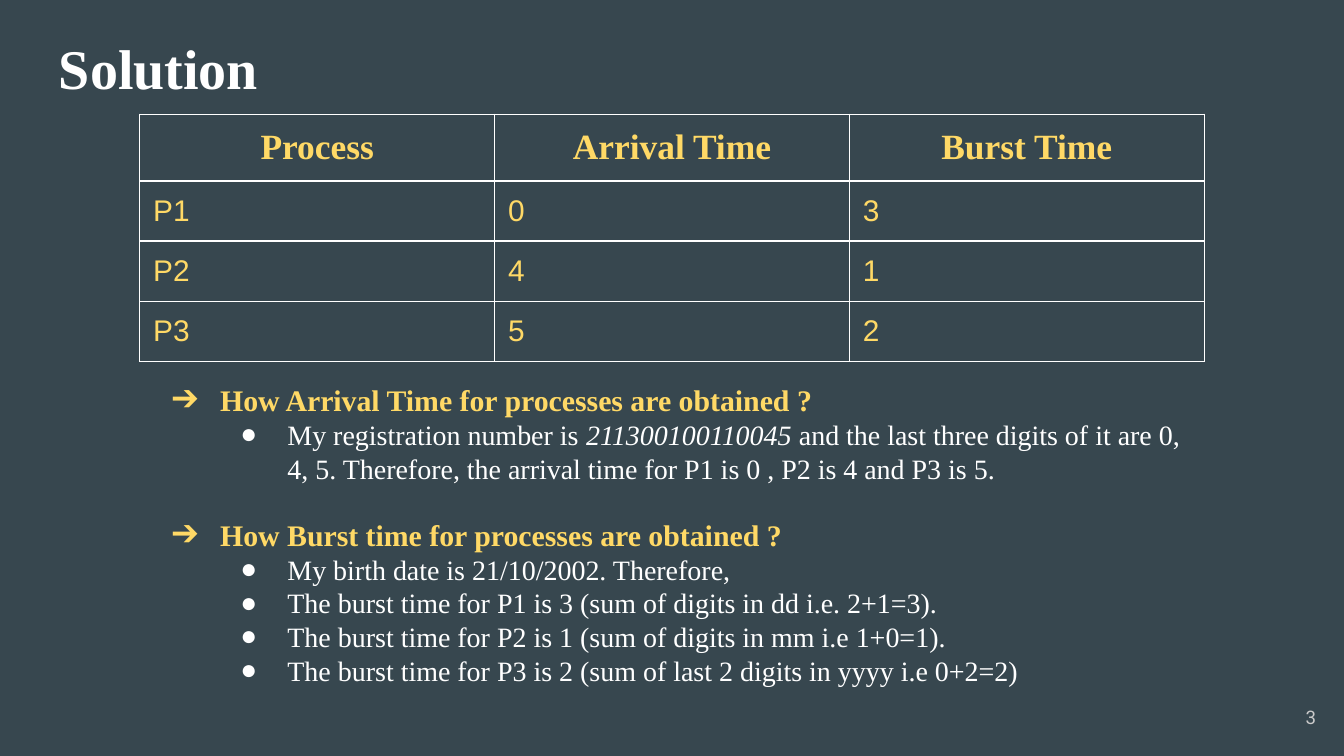
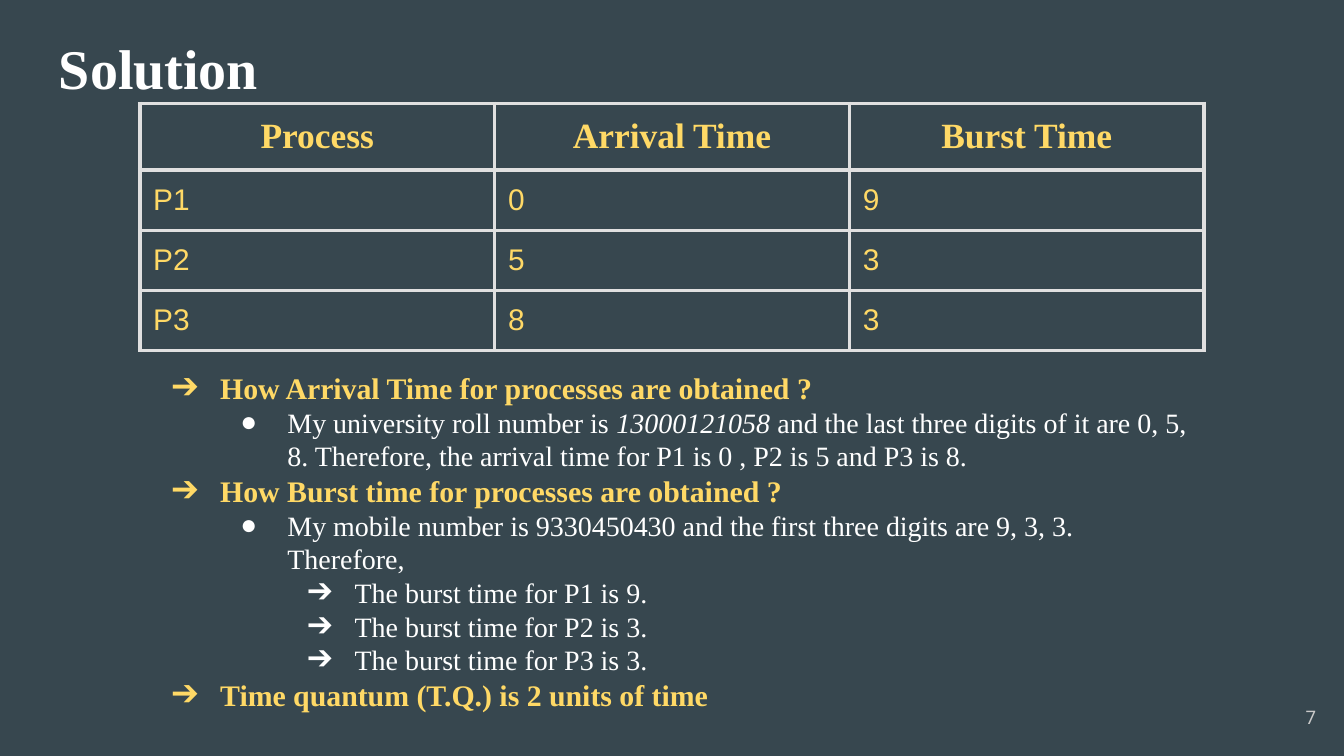
from lxml.etree import SubElement
from pptx import Presentation
from pptx.dml.color import RGBColor
from pptx.enum.text import MSO_ANCHOR, PP_ALIGN
from pptx.oxml.ns import qn
from pptx.util import Inches, Pt

BACKGROUND, WHITE, GOLD, GREY = "37474F", "FFFFFF", "FFD966", "CACACA"
SERIF = "Times New Roman"
TITLE = {"name": SERIF, "size": Pt(30), "bold": True, "color": WHITE}
HEADER = {"name": SERIF, "size": Pt(19), "bold": True, "color": GOLD}
VALUE = {"name": "Arial", "size": Pt(16), "bold": False, "color": GOLD}
QUESTION = {"name": SERIF, "size": Pt(16), "bold": True, "color": GOLD}
ANSWER = {"name": SERIF, "size": Pt(15), "bold": False, "color": WHITE}
NUMBER = {"name": "Roboto", "size": Pt(10), "color": GREY}

LEVELS = {
    "question": (0.5, -0.36, "➔", QUESTION),
    "answer": (1, -0.35, "●", ANSWER),
    "detail": (1.5, -0.35, "➔", ANSWER),
}
COLUMNS = ("Process", "Arrival Time", "Burst Time")
ARRIVAL = ("question", "How Arrival Time for processes are obtained ?")
BURST = ("question", "How Burst time for processes are obtained ?")

SLIDES = [
    {
        "number": 3, "table_top": 0.85, "border": (WHITE, 0.75),
        "rows": [("P1", 0, 3), ("P2", 4, 1), ("P3", 5, 2)],
        "notes_box": (1.04, 2.74, 7.92, 2.42), "gap": Pt(17),
        "lines": [
            ARRIVAL,
            ("answer", "My registration number is ", "211300100110045 ",
             "and the last three digits of it are 0, 4, 5. Therefore, "
             "the arrival time for P1 is 0 , P2 is 4 and P3 is 5."),
            BURST,
            ("answer", "My birth date is 21/10/2002. Therefore,"),
            ("answer", "The burst time for P1 is 3 (sum of digits in dd i.e. 2+1=3)."),
            ("answer", "The burst time for P2 is 1 (sum of digits in mm i.e 1+0=1)."),
            ("answer", "The burst time for P3 is 2 (sum of last 2 digits in yyyy i.e 0+2=2)"),
        ],
    },
    {
        "number": 7, "table_top": 0.77, "border": ("E0E0E0", 2.25),
        "rows": [("P1", 0, 9), ("P2", 5, 3), ("P3", 8, 3)],
        "notes_box": (1.04, 2.65, 7.92, 2.66), "gap": Pt(0),
        "lines": [
            ARRIVAL,
            ("answer", "My university roll number is ", "13000121058 ",
             "and the last three digits of it are 0, 5, 8. Therefore, "
             "the arrival time for P1 is 0 , P2 is 5 and P3 is 8."),
            BURST,
            ("answer", "My mobile number is 9330450430 and the first three "
             "digits are 9, 3, 3. Therefore,"),
            ("detail", "The burst time for P1 is 9."),
            ("detail", "The burst time for P2 is 3."),
            ("detail", "The burst time for P3 is 3."),
            ("question", "Time quantum (T.Q.) is 2 units of time"),
        ],
    },
]


def color(value):
    return RGBColor.from_string(value)


class Builder:
    """Holds the deck style and the slide being filled."""

    def __init__(self):
        self.deck = Presentation()
        self.deck.slide_width = Inches(10)
        self.deck.slide_height = Inches(10) * 9 // 16
        self.page = None

    def add_page(self):
        self.page = self.deck.slides.add_slide(self.deck.slide_layouts[6])
        fill = self.page.background.fill
        fill.solid()
        fill.fore_color.rgb = color(BACKGROUND)

    def add_span(self, para, text, style, **extra):
        span = para.add_run()
        span.text = str(text)
        for key, value in {**style, **extra}.items():
            if key == "color":
                span.font.color.rgb = color(value)
            else:
                setattr(span.font, key, value)

    def set_margins(self, target, bottom=0.1):
        for side in ("left", "top", "right"):
            setattr(target, f"margin_{side}", Inches(0.1))
        target.margin_bottom = Inches(bottom)

    def add_box(self, left, top, width, height):
        box = self.page.shapes.add_textbox(*map(Inches, (left, top, width, height)))
        self.set_margins(box.text_frame)
        box.text_frame.word_wrap = True
        return box.text_frame

    def add_title(self, text):
        frame = self.add_box(0.34, 0.15, 9.32, 0.63)
        self.add_span(frame.paragraphs[0], text, TITLE)

    def add_number(self, number):
        frame = self.add_box(9.29, 5.12, 0.6, 0.43)
        frame.vertical_anchor = MSO_ANCHOR.MIDDLE
        frame.paragraphs[0].alignment = PP_ALIGN.RIGHT
        self.add_span(frame.paragraphs[0], number, NUMBER)

    def add_borders(self, cell, shade, width):
        properties = cell._tc.get_or_add_tcPr()
        for side in ("lnL", "lnR", "lnT", "lnB"):
            line = SubElement(properties, qn(f"a:{side}"), w=str(Pt(width)))
            fill = SubElement(line, qn("a:solidFill"))
            SubElement(fill, qn("a:srgbClr"), val=shade)

    def add_table(self, top, rows, border):
        rows = [COLUMNS, *rows]
        size = map(Inches, (1.04, top, 2.64 * len(COLUMNS), 0.44 * len(rows)))
        table = self.page.shapes.add_table(len(rows), len(COLUMNS), *size).table
        table.first_row = table.horz_banding = False
        for row, values in enumerate(rows):
            for column, value in enumerate(values):
                cell = table.cell(row, column)
                self.set_margins(cell, bottom=0.08)
                self.add_borders(cell, *border)
                cell.fill.background()
                para = cell.text_frame.paragraphs[0]
                para.alignment = PP_ALIGN.LEFT if row else PP_ALIGN.CENTER
                self.add_span(para, value, VALUE if row else HEADER)

    def add_notes(self, place, lines, gap):
        frame = self.add_box(*place)
        for index, (level, *texts) in enumerate(lines):
            para = frame.add_paragraph() if index else frame.paragraphs[0]
            indent, hanging, bullet, style = LEVELS[level]
            para.space_before = gap if index and level == "question" else Pt(0)
            properties = para._p.get_or_add_pPr()
            properties.set("marL", str(Inches(indent)))
            properties.set("indent", str(Inches(hanging)))
            shade = SubElement(properties, qn("a:buClr"))
            SubElement(shade, qn("a:srgbClr"), val=style["color"])
            SubElement(properties, qn("a:buFont"), typeface=SERIF)
            SubElement(properties, qn("a:buChar"), char=bullet)
            for position, text in enumerate(texts):
                self.add_span(para, text, style, italic=position == 1)


def main():
    builder = Builder()
    for content in SLIDES:
        builder.add_page()
        builder.add_title("Solution")
        builder.add_table(content["table_top"], content["rows"], content["border"])
        builder.add_notes(content["notes_box"], content["lines"], content["gap"])
        builder.add_number(content["number"])
    builder.deck.save("out.pptx")


if __name__ == "__main__":
    main()
